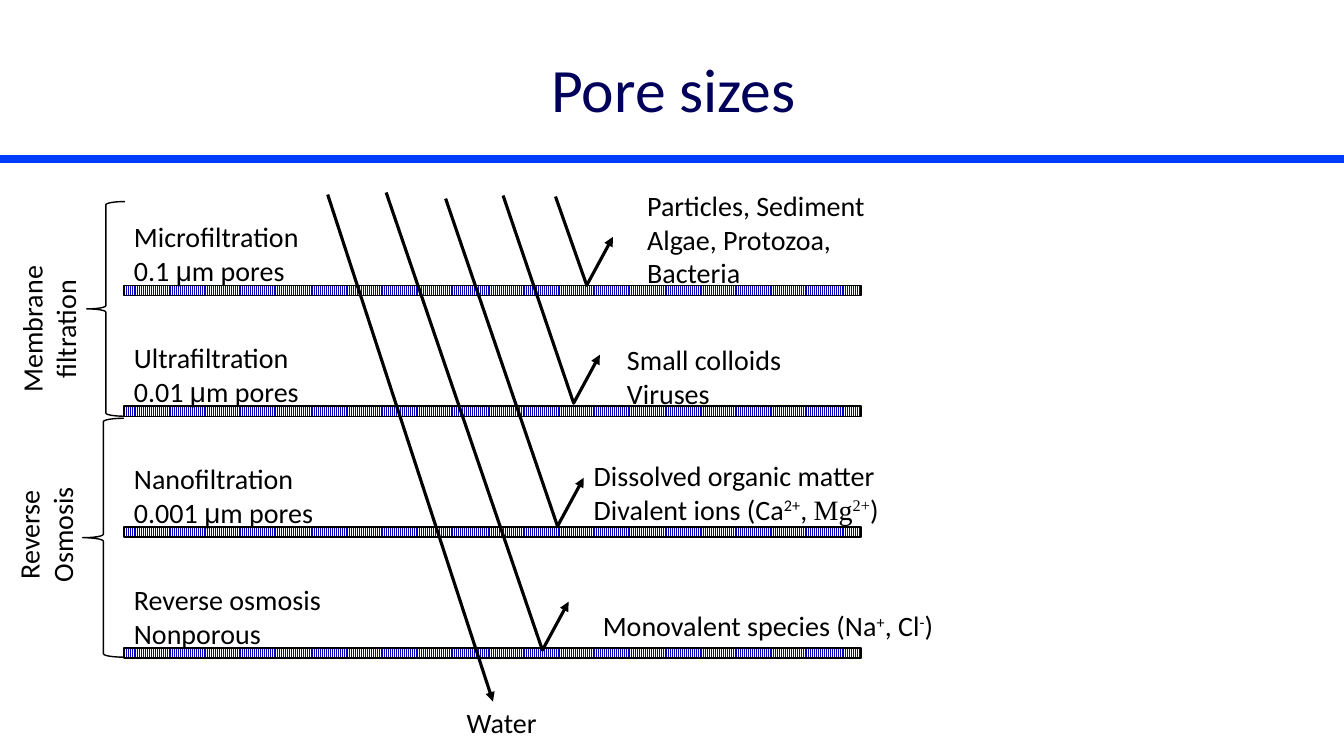
from lxml.etree import SubElement
from pptx import Presentation
from pptx.dml.color import RGBColor
from pptx.enum.dml import MSO_PATTERN
from pptx.enum.shapes import MSO_CONNECTOR, MSO_SHAPE
from pptx.enum.text import MSO_ANCHOR, MSO_AUTO_SIZE, PP_ALIGN
from pptx.oxml.ns import qn
from pptx.util import Inches, Pt

THEME = {
    "title": {"name": "Calibri", "size": Pt(44), "color": "00005A"},
    "body": {"name": "Calibri", "size": Pt(20), "color": "000000"},
    "mu": {"name": "Arial"},
    "serif": {"name": "Times New Roman"},
    "ink": "000000", "rule": "003CFE", "stripe": "0300BE", "paper": "FFFFFF",
    "rule_pt": 6, "arrow_pt": 2.25, "thin_pt": 1,
}

TITLE = "Pore sizes"
MEMBRANES = [
    ("Microfiltration", "0.1 ", 1.91),
    ("Ultrafiltration", "0.01 ", 1.87),
    ("Nanofiltration", "0.001 ", 2.02),
    ("Reverse osmosis", None, 2.17),
]
LEFT, WIDTH, THICK = 1.23, 7.31, 0.1
TOP, STEP, LABEL_RISE = 2.83, 1.2, 0.7

REJECTED = [
    ((6.32, 1.82, 2.5, 1.11), True,
     [["Particles, Sediment"], ["Algae, Protozoa, Bacteria"]]),
    ((6.12, 3.35, 1.81, 0.77), False, [["Small colloids"], ["Viruses"]]),
    ((5.79, 4.5, 3.15, 0.77), False,
     [["Dissolved organic matter"],
      ["Divalent ions (Ca", ("2+", "sup"), ", ", ("Mg", "serif"),
       ("2+", "serif sup"), ")"]]),
    ((5.88, 5.99, 3.72, 0.44), False,
     [["Monovalent species (Na", ("+", "sup"), ", Cl", ("-", "sup"), ")"]]),
]
BOUNCES = [
    ((5.51, 1.95), (5.82, 2.83)),
    ((4.99, 1.94), (5.69, 4)),
    ((4.42, 1.97), (5.53, 5.22)),
    ((3.83, 1.91), (5.38, 6.45)),
]
REBOUND = (0.26, -0.48)
WATER_PATH = ((3.25, 1.93), (4.89, 6.96))
WATER_BOX = (4.53, 6.95, 0.93, 0.44)
GROUPS = [
    ("Membrane filtration", (-0.28, 2.88, 1.52, 0.77), (0.86, 2, 0.38, 2.13)),
    ("Reverse Osmosis", (-0.31, 4.92, 1.52, 0.77), (0.82, 4.15, 0.41, 2.37)),
]


def inches(values):
    """Convert a sequence of numbers to lengths."""
    return [Inches(v) for v in values]


def set_font(font, fmt):
    """Apply a dict of font values."""
    for key, value in fmt.items():
        if key == "color":
            font.color.rgb = RGBColor.from_string(value)
        else:
            setattr(font, key, value)


def set_line(shape, color, width, arrow=False):
    """Style an outline, with an optional arrowhead at its end."""
    shape.line.color.rgb = RGBColor.from_string(color)
    shape.line.width = Pt(width)
    if arrow:
        SubElement(shape.line._get_or_add_ln(), qn("a:tailEnd"), type="triangle")


def add_text(s, box, paragraphs, wrap=False, align=PP_ALIGN.LEFT, rotation=0):
    """Add a text box from paragraphs of plain or styled runs."""
    tb = s.shapes.add_textbox(*inches(box))
    tb.rotation = rotation
    tf = tb.text_frame
    tf.word_wrap = wrap
    tf.auto_size = MSO_AUTO_SIZE.SHAPE_TO_FIT_TEXT
    for i, runs in enumerate(paragraphs):
        p = tf.add_paragraph() if i else tf.paragraphs[0]
        p.alignment = align
        for run in runs:
            text, styles = (run, "") if isinstance(run, str) else run
            r = p.add_run()
            r.text = text
            set_font(r.font, THEME["body"])
            for style in styles.split():
                if style == "sup":
                    r.font._element.set("baseline", "30000")
                else:
                    set_font(r.font, THEME[style])


def add_straight(s, start, end, color, width, arrow=False):
    """Add a straight connector without a shadow."""
    line = s.shapes.add_connector(MSO_CONNECTOR.STRAIGHT, *inches(start + end))
    set_line(line, color, width, arrow)
    SubElement(line._element.spPr, qn("a:effectLst"))


def add_membrane(s, top):
    """Add one striped membrane bar."""
    bar = s.shapes.add_shape(MSO_SHAPE.RECTANGLE, *inches((LEFT, top, WIDTH, THICK)))
    bar.shadow.inherit = False
    bar.fill.patterned()
    bar.fill.pattern = MSO_PATTERN.NARROW_VERTICAL
    bar.fill.fore_color.rgb = RGBColor.from_string(THEME["stripe"])
    bar.fill.back_color.rgb = RGBColor.from_string(THEME["paper"])
    set_line(bar, THEME["ink"], THEME["thin_pt"])


def add_bounce(s, start, hit):
    """Add a path that rebounds from a membrane."""
    end = [h + d for h, d in zip(hit, REBOUND)]
    path = s.shapes.build_freeform(*inches(start))
    path.add_line_segments([inches(hit), inches(end)], close=False)
    shape = path.convert_to_shape()
    shape.shadow.inherit = False
    shape.fill.background()
    set_line(shape, THEME["ink"], THEME["arrow_pt"], arrow=True)


def add_group(s, label, label_box, brace_box):
    """Add a brace and its vertical label."""
    add_text(s, label_box, [[label]], True, PP_ALIGN.CENTER, 270)
    brace = s.shapes.add_shape(MSO_SHAPE.LEFT_BRACE, *inches(brace_box))
    brace.shadow.inherit = False
    brace.fill.background()
    set_line(brace, THEME["ink"], THEME["thin_pt"])


def add_title(s):
    """Place and format the title."""
    title = s.shapes.title
    title.left, title.top, title.width, title.height = inches((0.5, 0.25, 12.36, 1.25))
    tf = title.text_frame
    tf.text = TITLE
    tf.vertical_anchor = MSO_ANCHOR.MIDDLE
    p = tf.paragraphs[0]
    p.alignment = PP_ALIGN.CENTER
    set_font(p.runs[0].font, THEME["title"])


def main():
    """Build the slide and save it."""
    prs = Presentation()
    prs.slide_width, prs.slide_height = inches((13.33, 7.5))
    s = prs.slides.add_slide(prs.slide_layouts[5])
    add_straight(s, (0, 1.58), (13.33, 1.58), THEME["rule"], THEME["rule_pt"])
    add_title(s)
    for i, (name, size, width) in enumerate(MEMBRANES):
        top = TOP + i * STEP
        add_membrane(s, top)
        pores = [size, ("μ", "mu"), "m pores"] if size else ["Nonporous"]
        add_text(s, (LEFT, top - LABEL_RISE, width, 0.77), [[name], pores])
    add_straight(s, *WATER_PATH, THEME["ink"], THEME["arrow_pt"], arrow=True)
    add_text(s, WATER_BOX, [["Water"]])
    for start, hit in BOUNCES:
        add_bounce(s, start, hit)
    for box, wrap, paragraphs in REJECTED:
        add_text(s, box, paragraphs, wrap)
    for group in GROUPS:
        add_group(s, *group)
    prs.save("out.pptx")


if __name__ == "__main__":
    main()
